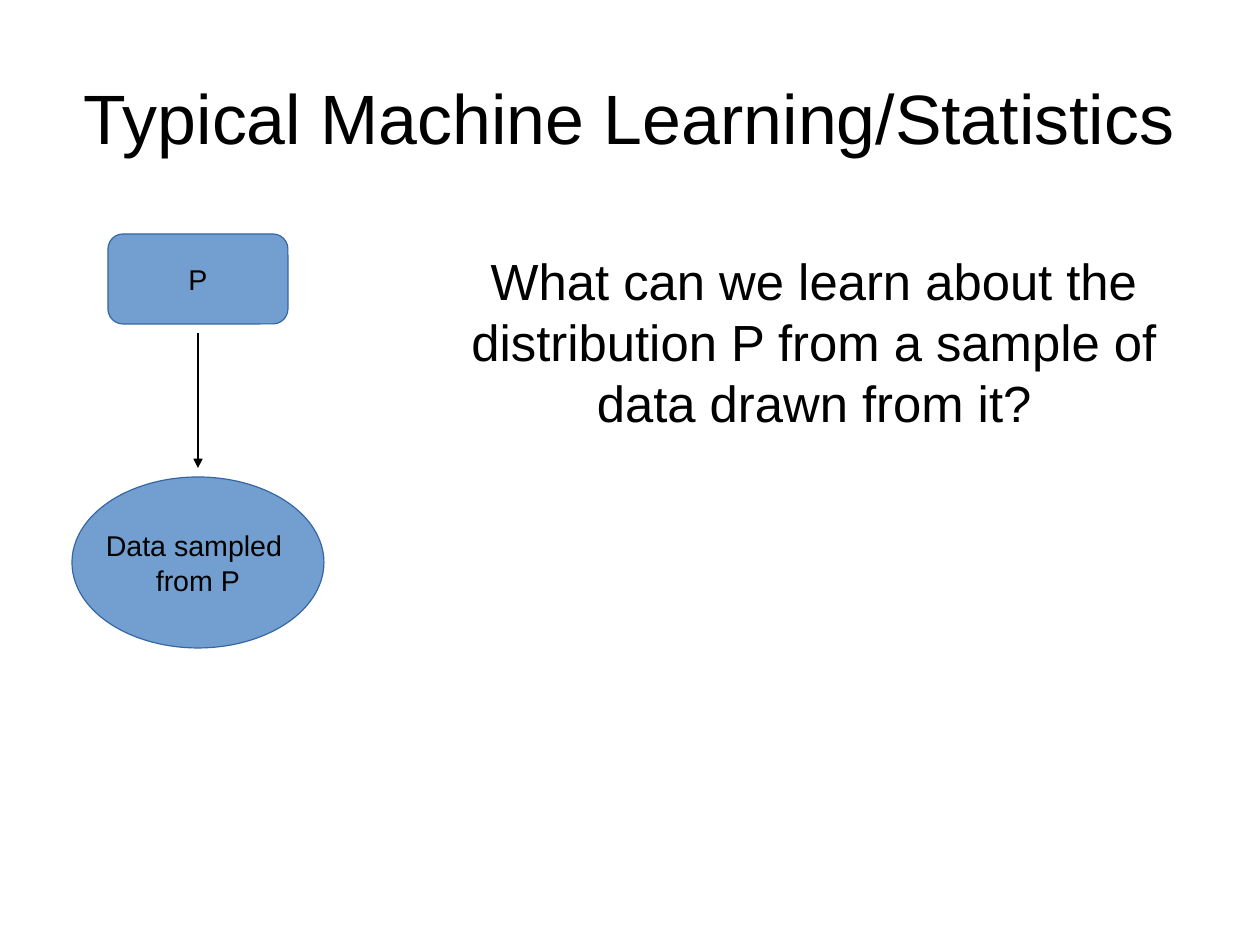
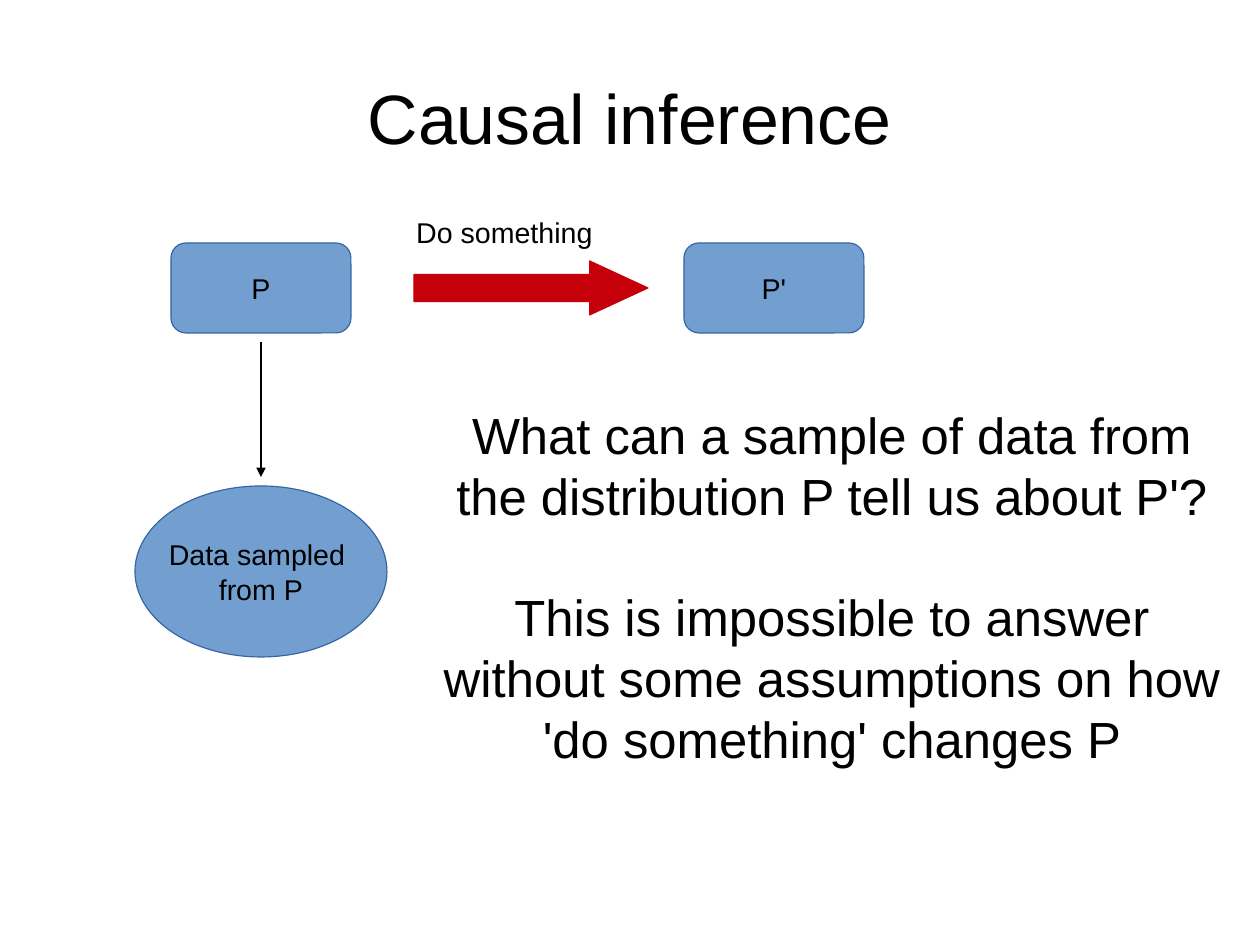
from lxml.etree import SubElement as Sub
from pptx import Presentation as Deck
from pptx.dml.color import RGBColor as Rgb
from pptx.enum.shapes import MSO_CONNECTOR as Link, MSO_SHAPE as Kind
from pptx.enum.text import MSO_ANCHOR as Anchor, PP_ALIGN as Align
from pptx.oxml.ns import qn
from pptx.util import Pt

FONT = "Arial"
INK, BLUE, EDGE, RED = "000000", "729FCF", "3465A4", "C5000B"


def px(n):
    return n * 8000


def hue(code):
    return Rgb.from_string(code)


class Pen:
    """Draws styled elements on the current slide of a deck."""

    def __init__(self):
        self.deck = Deck()
        self.deck.slide_width, self.deck.slide_height = px(1260), px(945)

    def page(self, title):
        self.slide = self.deck.slides.add_slide(self.deck.slide_layouts[6])
        self.label(63, 38, 1134, 157, [title], 44)

    def put(self, frame, lines, size, align=Align.CENTER, gap=0):
        frame.text = "\n".join(lines)
        for i, para in enumerate(frame.paragraphs):
            para.alignment = align
            para.font.name, para.font.size = FONT, Pt(size)
            para.font.color.rgb = hue(INK)
            if i and gap:
                para.space_before = Pt(gap)

    def frame(self, x, y, w, h):
        frame = self.slide.shapes.add_textbox(px(x), px(y), px(w), px(h)).text_frame
        frame.word_wrap = True
        return frame

    def label(self, x, y, w, h, lines, size, gap=0):
        frame = self.frame(x, y, w, h)
        frame.vertical_anchor = Anchor.MIDDLE
        frame.margin_left = frame.margin_right = 0
        frame.margin_top = frame.margin_bottom = 0
        self.put(frame, lines, size, gap=gap)

    def note(self, x, y, w, h, text):
        self.put(self.frame(x, y, w, h), [text], 18, Align.LEFT)

    def shape(self, kind, x, y, w, h, lines=(), fill=BLUE, edge=EDGE):
        item = self.slide.shapes.add_shape(kind, px(x), px(y), px(w), px(h))
        item.shadow.inherit = False
        item.fill.solid()
        item.fill.fore_color.rgb = hue(fill)
        item.line.color.rgb = hue(edge)
        item.line.width = Pt(0.75)
        if lines:
            item.text_frame.word_wrap = False
            item.text_frame.vertical_anchor = Anchor.MIDDLE
            self.put(item.text_frame, lines, 18)
        return item

    def box(self, x, y, text):
        self.shape(Kind.ROUNDED_RECTANGLE, x, y, 180, 90, [text])

    def arrow(self, x, y, w, h):
        item = self.shape(Kind.RIGHT_ARROW, x, y, w, h, fill=RED, edge=RED)
        item.adjustments[1] = 1.08

    def drop(self, x, top, end):
        link = self.slide.shapes.add_connector(
            Link.STRAIGHT, px(x), px(top), px(x), px(end))
        link.line.color.rgb = hue(INK)
        link.line.width = Pt(0.75)
        props = link._element.spPr
        Sub(props.find(qn("a:ln")), qn("a:tailEnd"), type="triangle")
        Sub(props, qn("a:effectLst"))

    def flow(self, x, y):
        self.box(x, y, "P")
        self.drop(x + 90, y + 99, y + 234)
        self.shape(Kind.OVAL, x - 36, y + 243, 252, 171,
                   ["Data sampled ", "from P"])


def main():
    pen = Pen()

    pen.page("Typical Machine Learning/Statistics")
    pen.flow(108, 234)
    pen.label(423, 243, 783, 197, [
        "What can we learn about the distribution P from a sample of data "
        "drawn from it?"], 32)

    pen.page("Causal inference")
    pen.label(441, 415, 783, 342, [
        "What can a sample of data from the distribution P tell us about P'?",
        "This is impossible to answer without some assumptions on how "
        "'do something' changes P"], 32, gap=38)
    pen.flow(171, 243)
    pen.arrow(414, 261, 234, 54)
    pen.box(684, 243, "P'")
    pen.note(405, 209, 270, 43, "Do something")

    pen.deck.save("out.pptx")


if __name__ == "__main__":
    main()
